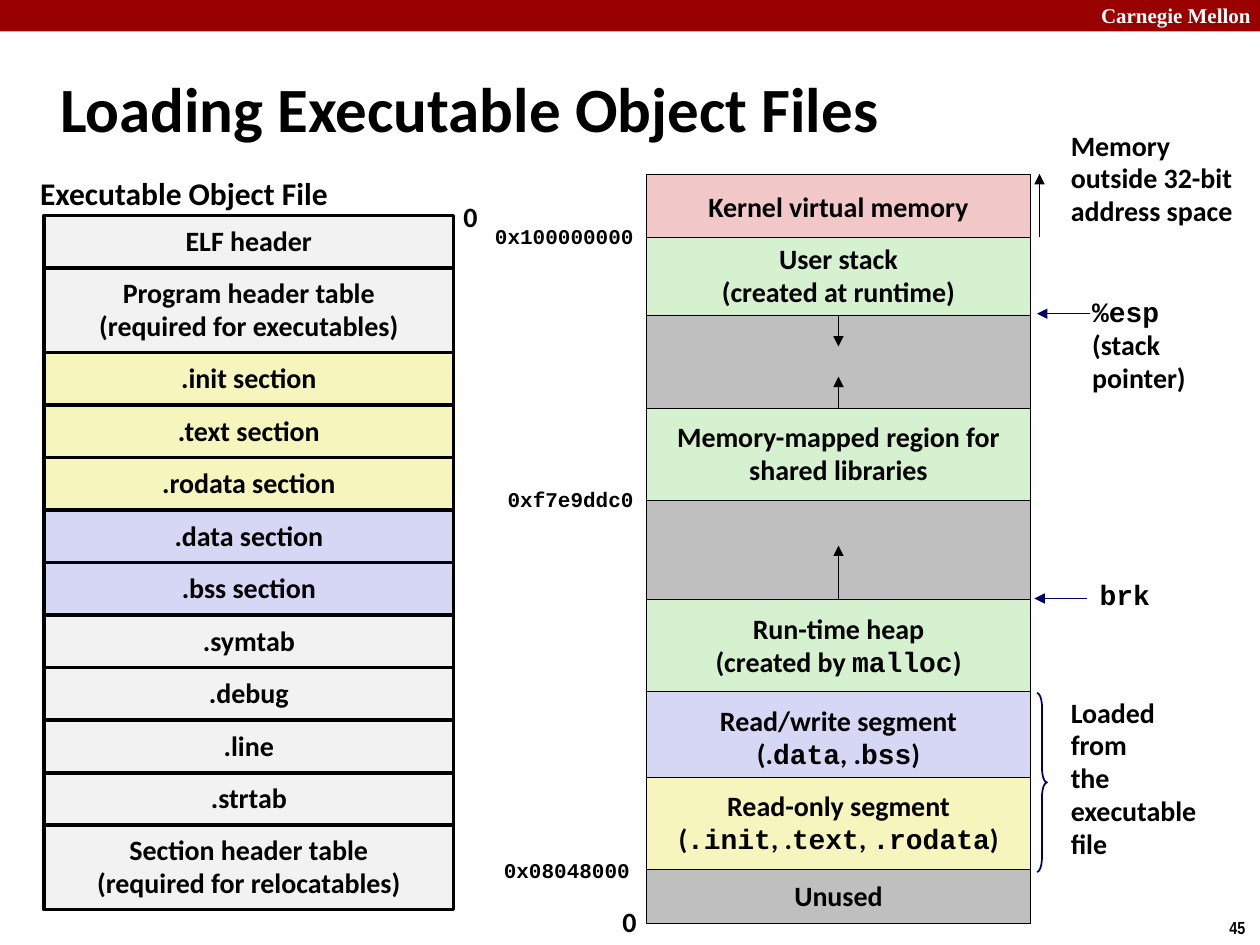
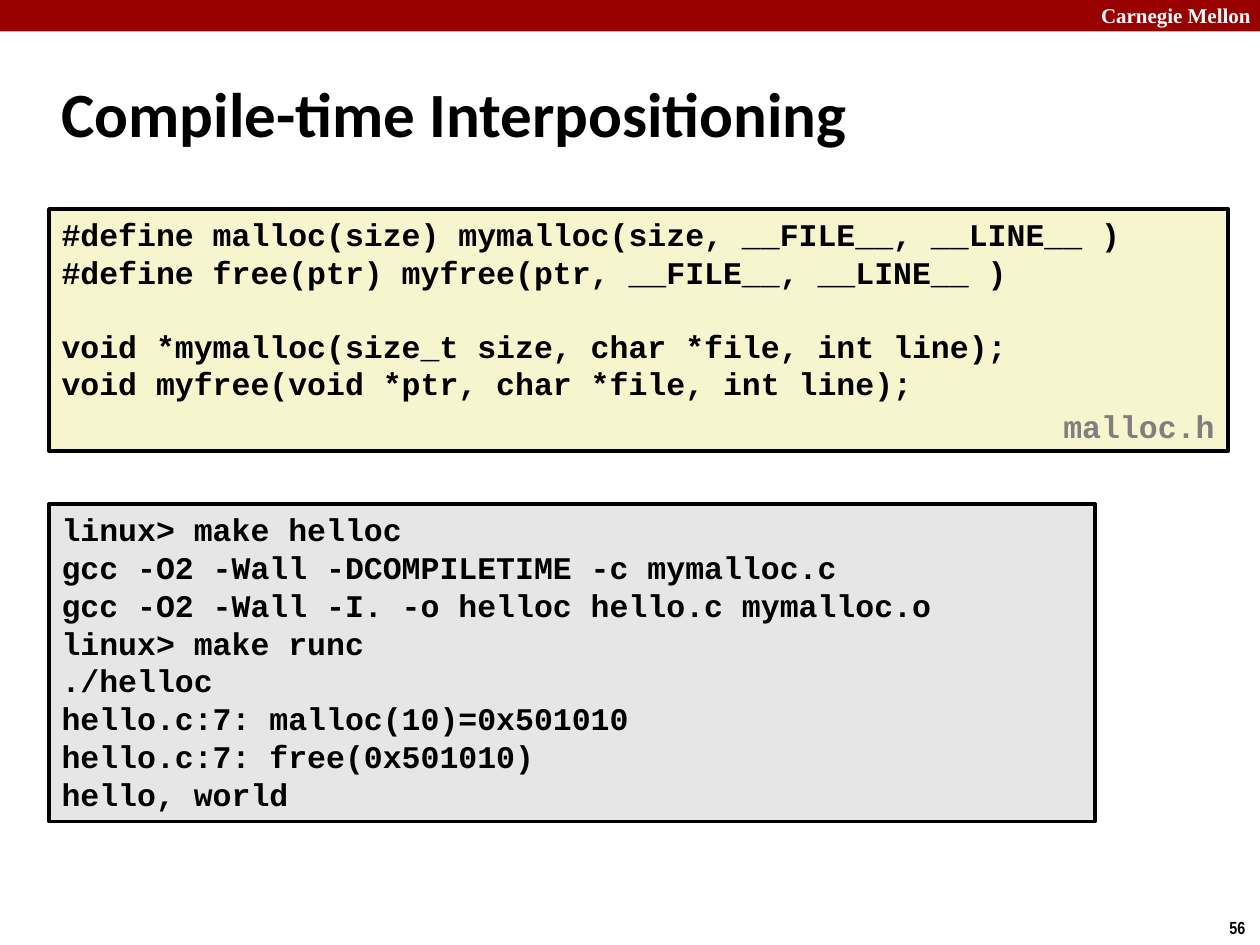
import itertools

import pptx
import pptx.dml.color
import pptx.enum.shapes
import pptx.enum.text
import pptx.oxml.ns
import pptx.util
from lxml import etree

COLORS = {
    "band": "990000", "black": "000000", "white": "FFFFFF", "navy": "000066",
    "header": "F2F2F2", "code": "F6F5BD", "data": "D6D6F5", "kernel": "F1C7C7",
    "runtime": "D5F1CF", "free": "BFBFBF", "listing": "F7F5CD",
    "terminal": "E6E6E6", "caption": "7F7F7F",
}
SANS, MONO, SERIF, NARROW = "Calibri", "Courier New", "Times New Roman", "Arial Narrow"
SLIDE_W, SLIDE_H = 10, 7.5

# Backticks mark monospaced words.
FILE_SECTIONS = [
    ("header", ["ELF header"]),
    ("header", ["Program header table", "(required for executables)"]),
    ("code", [".init section"]),
    ("code", [".text section"]),
    ("code", [".rodata section"]),
    ("data", [".data section"]),
    ("data", [".bss section"]),
    ("header", [".symtab"]),
    ("header", [".debug"]),
    ("header", [".line"]),
    ("header", [".strtab"]),
    ("header", ["Section header table", "(required for relocatables)"]),
]
FILE_X, FILE_Y, FILE_W, FILE_H = 0.35, 1.71, 3.25, 5.51
TALL_ROW = 0.67

# Height, part tucked under the next region, fill, text lines
MEMORY_REGIONS = [
    (0.50, 0.03, "kernel", ["Kernel virtual memory"]),
    (0.62, 0, "runtime", ["User stack", "(created at runtime)"]),
    (0.74, 0, "free", []),
    (0.73, 0, "runtime", ["Memory-mapped region for", "shared libraries"]),
    (0.79, 0, "free", []),
    (0.73, 0, "runtime", ["Run-time heap", "(created by `malloc`)"]),
    (0.68, 0.05, "data", ["Read/write segment", "(.`data`, .`bss`)"]),
    (0.73, 0, "code", ["Read-only segment", "(`.init`, .`text`, `.rodata`)"]),
    (0.43, 0, "free", ["Unused"]),
]
MEMORY_X, MEMORY_Y, MEMORY_W = 5.13, 1.38, 3.05

# Left, top, width, height, size, text lines
LABELS = [
    (0.22, 1.35, 2.50, 0.40, 18, ["Executable Object File"]),
    (3.58, 1.55, 0.31, 0.37, 16, ["0"]),
    (4.84, 7.14, 0.31, 0.37, 16, ["0"]),
    (3.83, 1.74, 1.32, 0.30, 12, ["`0x100000000`"]),
    (3.93, 3.83, 1.22, 0.30, 12, ["`0xf7e9ddc0`"]),
    (3.90, 6.77, 1.22, 0.30, 12, ["`0x08048000`"]),
    (8.40, 0.98, 1.49, 0.89, 16, ["Memory", "outside 32-bit", "address space"]),
    (8.57, 2.31, 0.95, 0.88, 16, ["`%esp`", "(stack", "pointer)"]),
    (8.63, 4.56, 0.60, 0.36, 16, ["`brk`"]),
    (8.40, 5.48, 1.26, 1.42, 16, ["Loaded", "from", "the", "executable", "file"]),
]

MALLOC_HEADER = [
    "#define malloc(size) mymalloc(size, __FILE__, __LINE__ )",
    "#define free(ptr) myfree(ptr, __FILE__, __LINE__ )",
    "void *mymalloc(size_t size, char *file, int line);",
    "void myfree(void *ptr, char *file, int line);",
]
FIRST_PROTOTYPE = 2
CODE_LINE = 20.4
TERMINAL = [
    "linux> make helloc",
    "gcc -O2 -Wall -DCOMPILETIME -c mymalloc.c",
    "gcc -O2 -Wall -I. -o helloc hello.c mymalloc.o",
    "linux> make runc",
    "./helloc",
    "hello.c:7: malloc(10)=0x501010",
    "hello.c:7: free(0x501010)",
    "hello, world",
]


def rgb(name):
    return pptx.dml.color.RGBColor.from_string(COLORS[name])


def inches(*lengths):
    return [pptx.util.Inches(v) for v in lengths]


def write(tf, lines, size, font=SANS, color="black", align="LEFT", spacing=None):
    """Fill a text frame, one paragraph a line."""
    for i, line in enumerate(lines):
        p = tf.paragraphs[0] if i == 0 else tf.add_paragraph()
        pieces = line.split("`")
        all_mono = len(pieces) == 3 and not pieces[0] and not pieces[2]
        p.alignment = getattr(pptx.enum.text.PP_ALIGN, align)
        if spacing:
            p.line_spacing = 0.94 if all_mono else spacing
        p.font.name = MONO if all_mono else font
        p.font.size = pptx.util.Pt(size)
        p.font.bold = True
        p.font.color.rgb = rgb(color)
        for k, piece in enumerate(pieces):
            if piece:
                r = p.add_run()
                r.text = piece
                if k % 2 and not all_mono:
                    r.font.name = MONO


def add_text(slide, at, lines, size, wrap=False, middle=False, **style):
    tf = slide.shapes.add_textbox(*inches(*at)).text_frame
    tf.word_wrap = wrap
    if middle:
        tf.vertical_anchor = pptx.enum.text.MSO_ANCHOR.MIDDLE
    else:
        tf.auto_size = pptx.enum.text.MSO_AUTO_SIZE.SHAPE_TO_FIT_TEXT
    write(tf, lines, size, **style)


def add_shape(slide, at, fill=None, line=None, width=1, kind="RECTANGLE"):
    preset = getattr(pptx.enum.shapes.MSO_SHAPE, kind)
    sp = slide.shapes.add_shape(preset, *inches(*at))
    sp.shadow.inherit = False
    if fill:
        sp.fill.solid()
        sp.fill.fore_color.rgb = rgb(fill)
    else:
        sp.fill.background()
    if line:
        sp.line.color.rgb = rgb(line)
        sp.line.width = pptx.util.Pt(width)
    else:
        sp.line.fill.background()
    return sp


def add_cell(slide, at, fill, lines, width):
    """Outlined box with centred text."""
    tf = add_shape(slide, at, fill, "black", width).text_frame
    tf.word_wrap = False
    tf.vertical_anchor = pptx.enum.text.MSO_ANCHOR.MIDDLE
    write(tf, lines, 16, align="CENTER", spacing=0.98)


def add_arrow(slide, ends, color="black"):
    cxn = slide.shapes.add_connector(
        pptx.enum.shapes.MSO_CONNECTOR.STRAIGHT, *inches(*ends))
    cxn.line.color.rgb = rgb(color)
    cxn.line.width = pptx.util.Pt(0.25)
    qn = pptx.oxml.ns.qn
    properties = cxn.element.spPr
    etree.SubElement(properties.find(qn("a:ln")), qn("a:tailEnd"), type="triangle")
    etree.SubElement(properties, qn("a:effectLst"))


def add_code(slide, at, lines, fill):
    tf = add_shape(slide, at, fill, "black", 2.25).text_frame
    tf.word_wrap = True
    tf.vertical_anchor = pptx.enum.text.MSO_ANCHOR.TOP
    write(tf, lines, 18, font=MONO)
    return tf


def new_slide(prs, title, title_at, number):
    """Slide with band, page number and title."""
    slide = prs.slides.add_slide(prs.slide_layouts[6])
    add_shape(slide, (0, 0, SLIDE_W, SLIDE_H / 30), "band")
    add_text(slide, (8.64, -0.03, 1.43, 0.3), ["Carnegie Mellon"], 12,
             wrap=True, font=SERIF, color="white")
    add_text(slide, (9.66, 7.23, 0.34, 0.27), [number], 10, font=NARROW)
    add_text(slide, title_at, [title], 36, wrap=True, middle=True)
    return slide


def draw_object_file(slide):
    tall = sum(len(lines) > 1 for _, lines in FILE_SECTIONS)
    row = (FILE_H - tall * TALL_ROW) / (len(FILE_SECTIONS) - tall)
    y = FILE_Y
    for fill, lines in FILE_SECTIONS:
        height = TALL_ROW if len(lines) > 1 else row
        add_cell(slide, (FILE_X, y, FILE_W, height), fill, lines, 2)
        y += height


def draw_memory(slide):
    heights = [region[0] for region in MEMORY_REGIONS]
    edges = list(itertools.accumulate(heights, initial=MEMORY_Y))
    for y, (height, tuck, fill, lines) in zip(edges, MEMORY_REGIONS):
        add_cell(slide, (MEMORY_X, y, MEMORY_W, height + tuck), fill, lines, 0.25)

    top, kernel_end, stack_end, libraries, _, heap, loaded = edges[:7]
    middle = MEMORY_X + MEMORY_W / 2
    right = MEMORY_X + MEMORY_W
    for start, growth in ((stack_end, 0.25), (libraries, -0.25), (heap, -0.43)):
        add_arrow(slide, (middle, start, middle, start + growth))
    add_arrow(slide, (right + 0.07, kernel_end, right + 0.07, top))
    for y, gap in ((stack_end, 0.05), (heap, 0.03)):
        tip = right + gap
        add_arrow(slide, (tip + 0.42, y - 0.01, tip, y - 0.01), "navy")
    brace = add_shape(slide, (right + 0.05, loaded + 0.01, 0.08, 1.42),
                      line="navy", kind="RIGHT_BRACE")
    brace.adjustments[0] = 1.42
    brace.adjustments[1] = 0.5


def build_loading(prs):
    slide = new_slide(prs, "Loading Executable Object Files",
                      (0.38, 0.42, 9.53, 0.86), "45")
    draw_object_file(slide)
    draw_memory(slide)
    for *at, size, lines in LABELS:
        add_text(slide, at, lines, size, spacing=0.98)


def build_interpositioning(prs):
    slide = new_slide(prs, "Compile-time Interpositioning",
                      (0.39, 0.48, 8.3, 0.83), "56")
    tf = add_code(slide, (0.39, 1.66, 9.36, 1.92), MALLOC_HEADER, "listing")
    tf.paragraphs[FIRST_PROTOTYPE].space_before = pptx.util.Pt(CODE_LINE)
    add_text(slide, (8.34, 3.18, 1.41, 0.4), ["malloc.h"], 18,
             font=MONO, color="caption")
    add_code(slide, (0.39, 4, 8.3, 2.52), TERMINAL, "terminal")


def main():
    prs = pptx.Presentation()
    prs.slide_width, prs.slide_height = inches(SLIDE_W, SLIDE_H)
    build_loading(prs)
    build_interpositioning(prs)
    prs.save("out.pptx")


if __name__ == "__main__":
    main()
